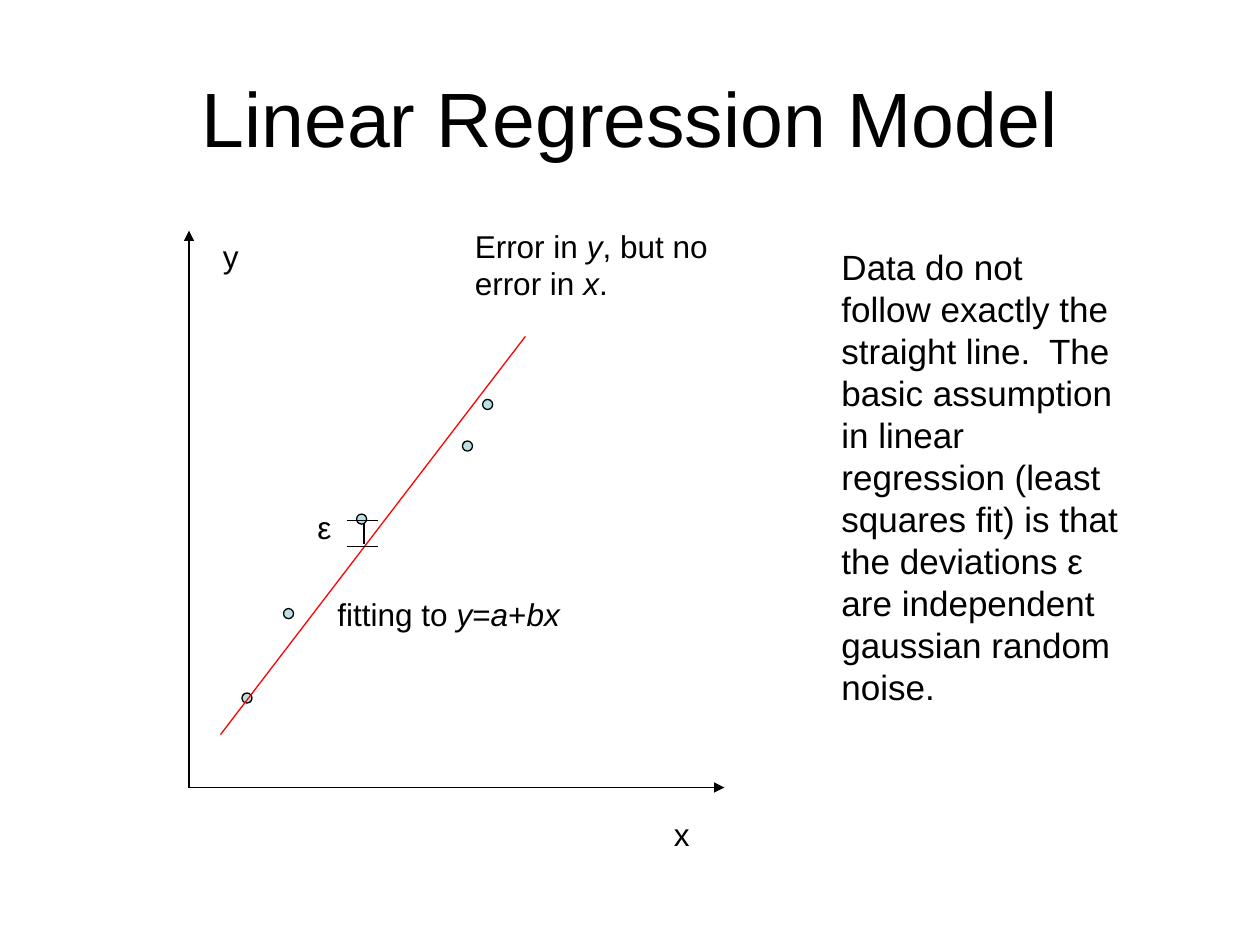
import pptx
import pptx.dml.color
import pptx.enum.shapes
import pptx.enum.text
import pptx.oxml.ns
import pptx.util
from lxml import etree
from pptx.util import Inches

COLORS = {"ink": "000000", "fit": "FF0000", "point": "BBE0E3"}
FONT = "Arial"
LINE_WIDTH = 0.75
POINT_SIZE = 0.08

# Text: (left, top, width, height), size, runs as (wording, italic)
TITLE = ((0.5, 0.3, 9, 1.25), 44, [("Linear Regression Model", False)])
LABELS = [
    ((5.25, 6.42, 0.42, 0.4), 18, [("x", False)]),
    ((1.67, 1.83, 0.92, 0.4), 18, [("y", False)]),
    ((2.58, 4.67, 2.42, 0.4), 18, [
        ("fitting to ", False), ("y", True), ("=", False),
        ("a", True), ("+", False), ("bx", True)]),
    ((2.42, 3.98, 0.33, 0.4), 18, [("ε", False)]),
    ((6.58, 1.9, 2.42, 3.8), 20, [
        ("Data do not follow exactly the straight line.  The basic assumption "
         "in linear regression (least squares fit) is that the deviations ε "
         "are independent gaussian random noise.", False)]),
    ((3.67, 1.75, 2.17, 0.7), 18, [
        ("Error in ", False), ("y", True), (", but no error in ", False),
        ("x", True), (".", False)]),
]

# Lines: from x, from y, to x, to y
ORIGIN = (1.5, 6.25)
AXES = [(*ORIGIN, 1.5, 1.83), (*ORIGIN, 5.75, 6.25)]
FIT_LINE = (1.75, 5.83, 4.17, 2.67)
ERROR_BAR = [(2.75, 4.13, 3, 4.13), (2.75, 4.34, 3, 4.34), (2.89, 4.15, 2.89, 4.32)]

DATA_POINTS = [(1.92, 5.5), (2.25, 4.83), (2.83, 4.08), (3.83, 3.17), (3.67, 3.5)]


def rgb(name):
    return pptx.dml.color.RGBColor.from_string(COLORS[name])


def style_line(line, color):
    line.color.rgb = rgb(color)
    line.width = pptx.util.Pt(LINE_WIDTH)


def add_label(slide, box, size, runs):
    frame = slide.shapes.add_textbox(*map(Inches, box)).text_frame
    frame.word_wrap = True
    paragraph = frame.paragraphs[0]
    paragraph.font.name = FONT
    paragraph.font.size = pptx.util.Pt(size)
    paragraph.font.color.rgb = rgb("ink")
    for wording, italic in runs:
        run = paragraph.add_run()
        run.text = wording
        if italic:
            run.font.italic = True
    return frame


def add_line(slide, ends, color="ink", arrow=False):
    connector = slide.shapes.add_connector(
        pptx.enum.shapes.MSO_CONNECTOR.STRAIGHT, *map(Inches, ends))
    style_line(connector.line, color)
    properties = connector._element.spPr
    if arrow:
        etree.SubElement(properties.find(pptx.oxml.ns.qn("a:ln")),
                         pptx.oxml.ns.qn("a:tailEnd"), type="triangle")
    etree.SubElement(properties, pptx.oxml.ns.qn("a:effectLst"))


def add_data_point(slide, left, top):
    point = slide.shapes.add_shape(
        pptx.enum.shapes.MSO_SHAPE.OVAL,
        *map(Inches, (left, top, POINT_SIZE, POINT_SIZE)))
    point.shadow.inherit = False
    point.fill.solid()
    point.fill.fore_color.rgb = rgb("point")
    style_line(point.line, "ink")


def main():
    deck = pptx.Presentation()
    deck.slide_width, deck.slide_height = Inches(10), Inches(7.5)
    slide = deck.slides.add_slide(deck.slide_layouts[6])

    title = add_label(slide, *TITLE)
    title.vertical_anchor = pptx.enum.text.MSO_ANCHOR.MIDDLE
    title.paragraphs[0].alignment = pptx.enum.text.PP_ALIGN.CENTER

    for axis in AXES:
        add_line(slide, axis, arrow=True)
    for position in DATA_POINTS:
        add_data_point(slide, *position)
    add_line(slide, FIT_LINE, "fit")
    for stroke in ERROR_BAR:
        add_line(slide, stroke)
    for label in LABELS:
        add_label(slide, *label)

    deck.save("out.pptx")


if __name__ == "__main__":
    main()
